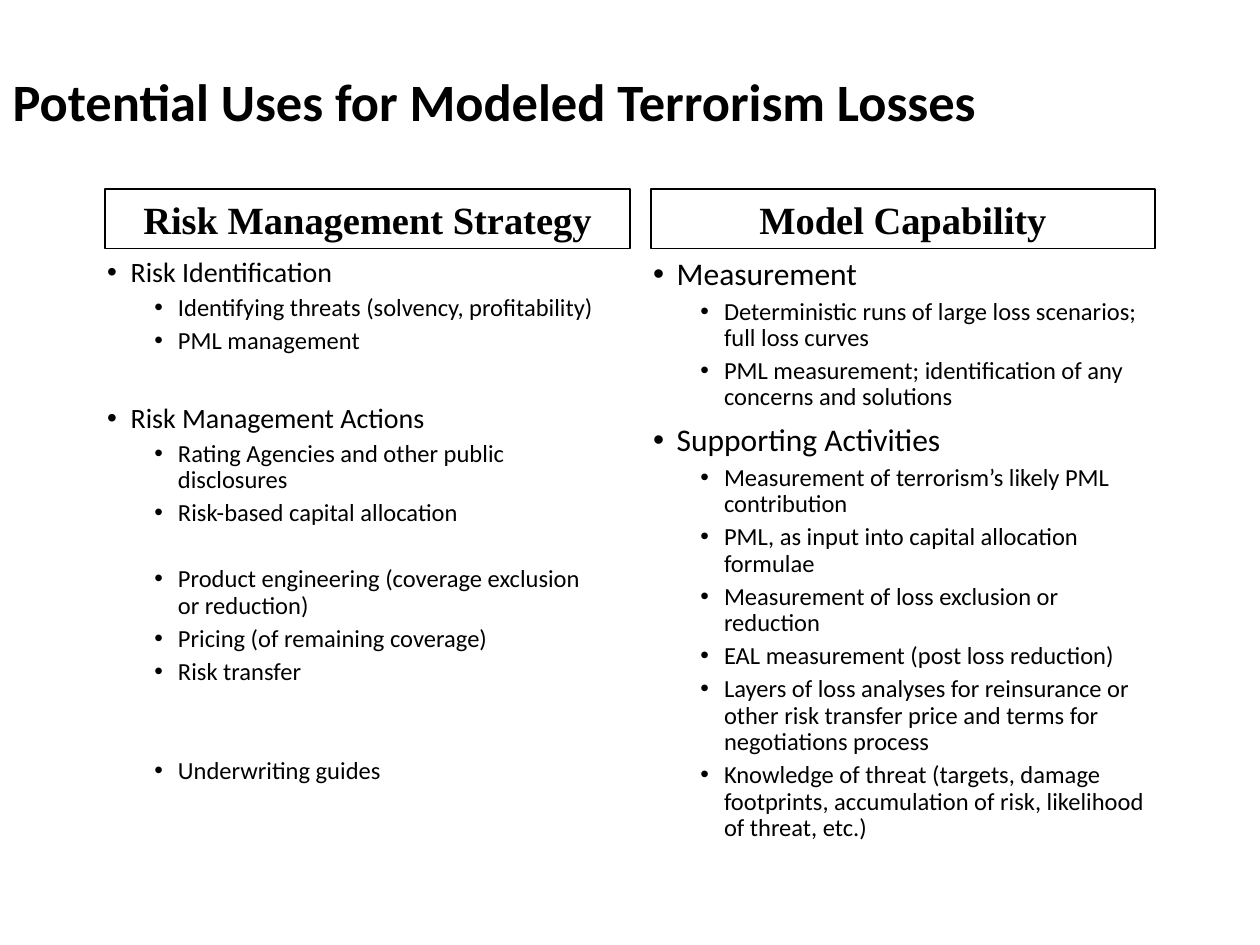
from lxml.etree import SubElement
from pptx import Presentation
from pptx.dml.color import RGBColor
from pptx.enum.shapes import MSO_SHAPE
from pptx.enum.text import MSO_ANCHOR, MSO_AUTO_SIZE, PP_ALIGN
from pptx.oxml.ns import qn
from pptx.util import Pt


def add_run(p, text, size, font="Calibri", bold=False, color="000000"):
    r = p.add_run()
    r.text = text
    r.font.name, r.font.size, r.font.bold = font, Pt(size), bold
    r.font.color.rgb = RGBColor.from_string(color)


def place(sp, left, top, width, height):
    sp.left, sp.top, sp.width, sp.height = Pt(left), Pt(top), Pt(width), Pt(height)


prs = Presentation()
prs.slide_width, prs.slide_height = Pt(720), Pt(540)
s = prs.slides.add_slide(prs.slide_layouts[3])
title, uses, capabilities = s.placeholders[0], s.placeholders[1], s.placeholders[2]

place(title, 0, 36, 690, 48)
tf = title.text_frame
tf.auto_size = MSO_AUTO_SIZE.NONE
tf.vertical_anchor = MSO_ANCHOR.MIDDLE
p = tf.paragraphs[0]
p.alignment, p.line_spacing = PP_ALIGN.LEFT, 0.9
add_run(p, "Potential Uses for Modeled Terrorism Losses", 30, bold=True)

# Each item: level, text, extra space before that lines it up with the other column
use_items = [
    (0, "Risk Identification", 0),
    (1, "Identifying threats (solvency, profitability)", 0),
    (1, "PML management", 0),
    (0, "Risk Management Actions", 21),
    (1, "Rating Agencies and other public disclosures", 0),
    (1, "Risk-based capital allocation", 0),
    (1, "Product engineering (coverage exclusion or reduction)", 18.9),
    (1, "Pricing (of remaining coverage)", 0),
    (1, "Risk transfer", 0),
    (1, "Underwriting guides", 37.8),
]
capability_items = [
    (0, "Measurement", 0),
    (1, "Deterministic runs of large loss scenarios; full loss curves", 0),
    (1, "PML measurement; identification of any concerns and solutions", 0),
    (0, "Supporting Activities", 0),
    (1, "Measurement of terrorism’s likely PML contribution", 0),
    (1, "PML, as input into capital allocation formulae", 0),
    (1, "Measurement of loss exclusion or reduction", 0),
    (1, "EAL measurement (post loss reduction)", 0),
    (1, "Layers of loss analyses for reinsurance or other risk transfer price "
        "and terms for negotiations process", 0),
    (1, "Knowledge of threat (targets, damage footprints, accumulation of risk, "
        "likelihood of threat, etc.)", 0),
]

for sp, left, height, heading_size, items in [
    (uses, 54, 324, 16, use_items),
    (capabilities, 366, 384, 18, capability_items),
]:
    place(sp, left, 144, 300, height)
    tf = sp.text_frame
    tf.auto_size = MSO_AUTO_SIZE.NONE
    for i, (level, text, extra) in enumerate(items):
        p = tf.paragraphs[0] if i == 0 else tf.add_paragraph()
        p.level, p.line_spacing = level, 0.9
        p.space_before = Pt((3.7 if level else 7.5) + extra if i else 0)
        pPr = p._p.get_or_add_pPr()
        pPr.set("marL", str(Pt(40.5 if level else 13.5)))
        pPr.set("indent", str(-Pt(13.5)))
        SubElement(SubElement(pPr, qn("a:buClr")), qn("a:srgbClr"), val="000000")
        SubElement(pPr, qn("a:buChar"), char="•")
        add_run(p, text, 14 if level else heading_size)

for left, width, text in [
    (60, 300, "Risk Management Strategy"),
    (372, 288, "Model Capability"),
]:
    sp = s.shapes.add_shape(MSO_SHAPE.RECTANGLE, Pt(left), Pt(108), Pt(width), Pt(34))
    sp.shadow.inherit = False
    sp.fill.background()
    sp.line.color.rgb = RGBColor.from_string("000000")
    sp.line.width = Pt(0.75)
    tf = sp.text_frame
    tf.word_wrap = True
    tf.vertical_anchor = MSO_ANCHOR.MIDDLE
    p = tf.paragraphs[0]
    p.alignment = PP_ALIGN.CENTER
    add_run(p, text, 22, "Times New Roman", True)

prs.save("out.pptx")
